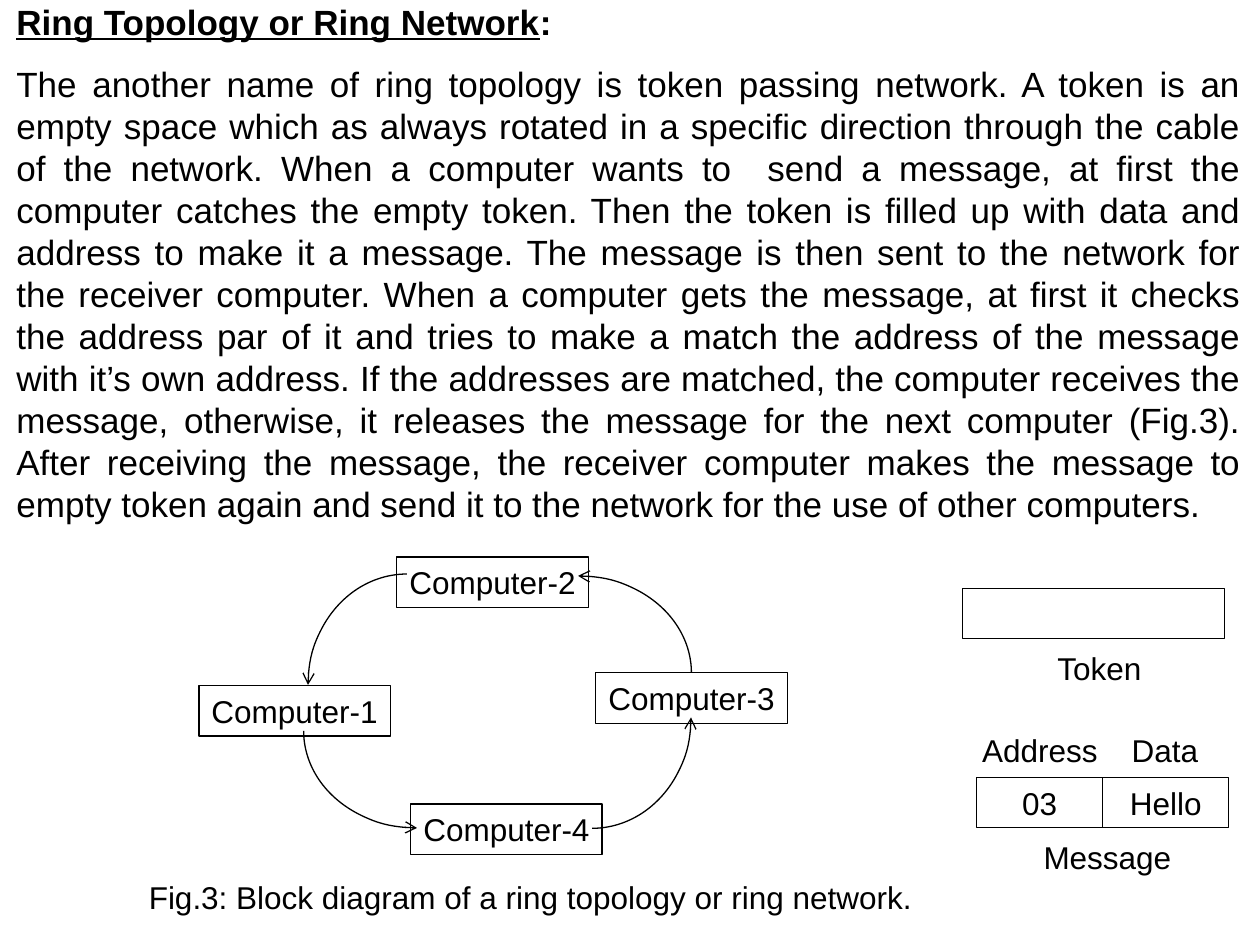
"""Build a slide that explains ring topology with a block diagram."""
from dataclasses import dataclass

from lxml.etree import SubElement
from pptx import Presentation
from pptx.dml.color import RGBColor
from pptx.enum.shapes import MSO_SHAPE as Preset
from pptx.enum.text import MSO_ANCHOR as Anchor, MSO_AUTO_SIZE as AutoSize, PP_ALIGN as Align
from pptx.oxml.ns import qn
from pptx.util import Cm, Pt


@dataclass(frozen=True)
class Theme:
    font: str = "Arial"
    ink: RGBColor = RGBColor(0, 0, 0)
    body_size: Pt = Pt(20)
    label_size: Pt = Pt(18)
    line_pitch: Pt = Pt(24)
    line_width: Pt = Pt(0.75)


THEME = Theme()
ROW_HEIGHT = 1.02
COMPUTER_WIDTH = 3.86
CELL_WIDTH = 2.54

HEADING = "Ring Topology or Ring Network"
SENTENCES = [
    "The another name of ring topology is token passing network.",
    "A token is an empty space which as always rotated in a specific direction through the "
    "cable of the network.",
    "When a computer wants to  send a message, at first the computer catches the empty token.",
    "Then the token is filled up with data and address to make it a message.",
    "The message is then sent to the network for the receiver computer.",
    "When a computer gets the message, at first it checks the address par of it and tries to "
    "make a match the address of the message with it’s own address.",
    "If the addresses are matched, the computer receives the message, otherwise, it releases "
    "the message for the next computer (Fig.3).",
    "After receiving the message, the receiver computer makes the message to empty token again "
    "and send it to the network for the use of other computers.",
]
COMPUTERS = [
    ("Computer-1", 4.01, 13.82),
    ("Computer-2", 8.00, 11.23),
    ("Computer-3", 12.01, 13.56),
    ("Computer-4", 8.28, 16.21),
]
ARCS = [
    (9.37, 11.61, 4.57, 3.91, 0),
    (9.70, 12.47, 4.47, 3.99, 90),
    (6.12, 12.78, 4.57, 3.91, 180),
    (5.97, 11.81, 4.47, 3.99, 270),
]
LABELS = [
    ("Fig.3: Block diagram of a ring topology or ring network.", 2.34, 17.58, 16.71),
    ("Token", 20.12, 12.95, 4.09),
    ("Address", 19.48, 14.61, 2.97),
    ("Data", 22.43, 14.61, 2.11),
    ("Message", 20.52, 16.76, 3.61),
]
CELLS = [("03", 19.69), ("Hello", 19.69 + CELL_WIDTH)]


def style_font(font, size):
    """Apply the theme's font and colour at the given size."""
    font.name = THEME.font
    font.size = size
    font.color.rgb = THEME.ink


def place_paragraph(placeholder, text, top, height):
    """Move a placeholder and fill it with one justified, unbulleted paragraph."""
    placeholder.left, placeholder.top = Cm(0.33), Cm(top)
    placeholder.width, placeholder.height = Cm(24.69), Cm(height)
    frame = placeholder.text_frame
    frame.margin_left = frame.margin_right = frame.margin_top = frame.margin_bottom = 0
    frame.vertical_anchor = Anchor.TOP
    frame.auto_size = AutoSize.NONE
    frame.word_wrap = True
    frame.text = text
    paragraph = frame.paragraphs[0]
    paragraph.alignment = Align.JUSTIFY
    paragraph.line_spacing = THEME.line_pitch
    paragraph.space_before = Pt(0)
    properties = paragraph._p.get_or_add_pPr()
    properties.set("marL", "0")
    properties.set("indent", "0")
    SubElement(properties, qn("a:buNone"))
    style_font(paragraph.runs[0].font, THEME.body_size)
    return paragraph


def add_heading(slide):
    """Write the bold heading with its underline stopping before the colon."""
    heading = place_paragraph(slide.shapes.title, HEADING, 0, 0.85)
    colon = heading.add_run()
    colon.text = ":"
    style_font(colon.font, THEME.body_size)
    for run in heading.runs:
        run.font.bold = True
    heading.runs[0].font.underline = True


def write_label(frame, text, wrap=True):
    """Write one centred line of label text."""
    frame.word_wrap = wrap
    frame.vertical_anchor = Anchor.MIDDLE
    frame.text = text
    frame.paragraphs[0].alignment = Align.CENTER
    for run in frame.paragraphs[0].runs:
        style_font(run.font, THEME.label_size)


def add_outline(slide, preset, left, top, width, height):
    """Add an unfilled shape with a thin line."""
    shape = slide.shapes.add_shape(preset, Cm(left), Cm(top), Cm(width), Cm(height))
    shape.shadow.inherit = False
    shape.fill.background()
    shape.line.color.rgb = THEME.ink
    shape.line.width = THEME.line_width
    return shape


def add_box(slide, text, left, top, width, wrap=True):
    """Add an outlined rectangle with an optional label."""
    box = add_outline(slide, Preset.RECTANGLE, left, top, width, ROW_HEIGHT)
    if text:
        write_label(box.text_frame, text, wrap)


def add_label(slide, text, left, top, width):
    """Add a centred text box."""
    label = slide.shapes.add_textbox(Cm(left), Cm(top), Cm(width), Cm(ROW_HEIGHT))
    write_label(label.text_frame, text)


def add_arc_arrow(slide, left, top, width, height, rotation):
    """Add a quarter arc with an arrowhead at its start."""
    arc = add_outline(slide, Preset.ARC, left, top, width, height)
    arc.rotation = rotation
    SubElement(arc._element.spPr.find(qn("a:ln")), qn("a:headEnd"), type="arrow")


def main():
    """Build and save the slide."""
    deck = Presentation()
    deck.slide_width, deck.slide_height = Cm(25.4), Cm(19.05)
    slide = deck.slides.add_slide(deck.slide_layouts[1])
    add_heading(slide)
    place_paragraph(slide.placeholders[1], " ".join(SENTENCES), 1.26, 9.4)
    for name, left, top in COMPUTERS:
        add_box(slide, name, left, top, COMPUTER_WIDTH, wrap=False)
    for arc in ARCS:
        add_arc_arrow(slide, *arc)
    add_box(slide, "", 19.41, 11.86, 5.28)
    for value, left in CELLS:
        add_box(slide, value, left, 15.67, CELL_WIDTH)
    for label in LABELS:
        add_label(slide, *label)
    deck.save("out.pptx")


if __name__ == "__main__":
    main()
